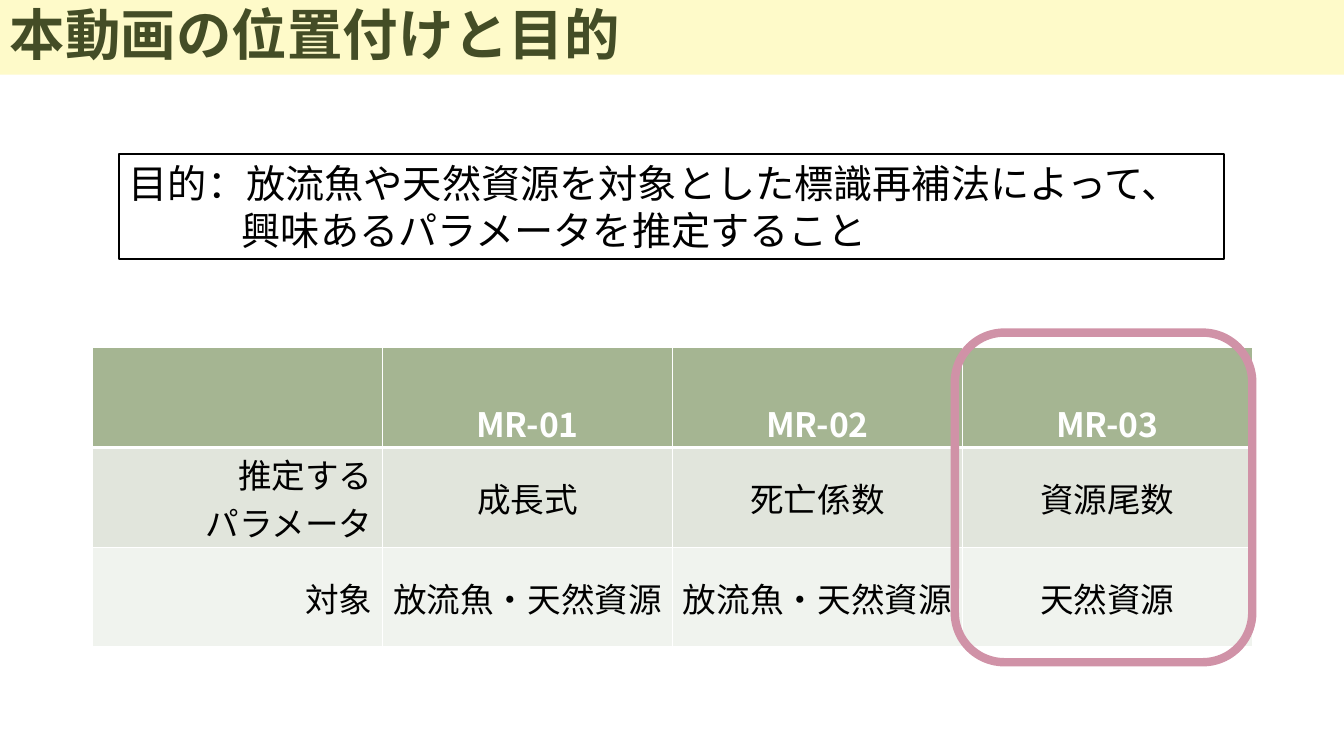
from lxml import etree
from pptx import Presentation
from pptx.dml.color import RGBColor
from pptx.enum.shapes import MSO_SHAPE
from pptx.enum.text import MSO_ANCHOR, PP_ALIGN
from pptx.oxml.ns import qn
from pptx.util import Pt

PX = 9144
FONT = "Noto Sans CJK JP"
RECT, ROUND_RECT = MSO_SHAPE.RECTANGLE, MSO_SHAPE.ROUNDED_RECTANGLE
MIDDLE, BOTTOM, TOP = MSO_ANCHOR.MIDDLE, MSO_ANCHOR.BOTTOM, MSO_ANCHOR.TOP
LEFT, CENTER, RIGHT = PP_ALIGN.LEFT, PP_ALIGN.CENTER, PP_ALIGN.RIGHT

COLORS = {
    "title_band": "FEFAC9",
    "title": "444D26",
    "text": "000000",
    "white": "FFFFFF",
    "header": "A5B592",
    "parameter_row": "E1E5DC",
    "target_row": "F0F3EE",
    "highlight": "D092A7",
}

ROWS = [
    ("header", ["", "MR-01", "MR-02", "MR-03"]),
    ("parameter_row", ["推定する\nパラメータ", "成長式", "死亡係数", "資源尾数"]),
    ("target_row", ["対象", "放流魚・天然資源", "放流魚・天然資源", "天然資源"]),
]


def rgb(name):
    return RGBColor.from_string(COLORS[name])


def add_run(paragraph, text, size, color, bold=False):
    run = paragraph.add_run()
    run.text = text
    font = run.font
    font.size, font.bold, font.name = Pt(size), bold, FONT
    font.color.rgb = rgb(color)
    etree.SubElement(run._r.get_or_add_rPr(), qn("a:ea"), typeface=FONT)


def add_panel(slide, box, preset, fill=None, line=None, line_width=1):
    panel = slide.shapes.add_shape(preset, *[length * PX for length in box])
    panel.shadow.inherit = False
    if fill:
        panel.fill.solid()
        panel.fill.fore_color.rgb = rgb(fill)
    else:
        panel.fill.background()
    if line:
        panel.line.color.rgb = rgb(line)
        panel.line.width = Pt(line_width)
    else:
        panel.line.fill.background()
    panel.text_frame.word_wrap = True
    return panel


def add_title(slide, box):
    frame = add_panel(slide, box, RECT, "title_band").text_frame
    frame.vertical_anchor = MIDDLE
    heading = frame.paragraphs[0]
    heading.alignment = LEFT
    heading.line_spacing = 0.9
    add_run(heading, "本動画の位置付けと目的", 39.6, "title", True)


def add_purpose(slide, box):
    frame = add_panel(slide, box, RECT, "white", "text").text_frame
    frame.vertical_anchor = TOP
    purpose = frame.paragraphs[0]
    purpose.alignment = LEFT
    indent = 112 * PX
    properties = purpose._p.get_or_add_pPr()
    properties.set("marL", str(indent))
    properties.set("indent", str(-indent))
    add_run(purpose, "目的：放流魚や天然資源を対象とした標識再補法によって、"
                     "興味あるパラメータを推定すること", 28, "text")


def set_borders(cell, widths):
    properties = cell._tc.get_or_add_tcPr()
    for position, (side, width) in enumerate(widths.items()):
        border = etree.Element(qn(f"a:{side}"), w=str(Pt(width)))
        fill = etree.SubElement(border, qn("a:solidFill"))
        etree.SubElement(fill, qn("a:srgbClr"), val=COLORS["white"])
        properties.insert(position, border)


def fill_cell(cell, text, row_kind, is_label, below_header):
    is_header = row_kind == "header"
    cell.fill.solid()
    cell.fill.fore_color.rgb = rgb(row_kind)
    cell.margin_top, cell.margin_bottom = PX, 0
    cell.vertical_anchor = BOTTOM if is_header else MIDDLE
    set_borders(cell, {"lnL": 1, "lnR": 1, "lnT": 3 if below_header else 1,
                       "lnB": 3 if is_header else 1})
    frame = cell.text_frame
    for index, line in enumerate(text.split("\n")):
        paragraph = frame.add_paragraph() if index else frame.paragraphs[0]
        paragraph.alignment = RIGHT if is_label else CENTER
        if line:
            add_run(paragraph, line, 24, "white" if is_header else "text", is_header)


def add_parameter_table(slide, box):
    left, top, width, height = [length * PX for length in box]
    column_count = len(ROWS[0][1])
    table = slide.shapes.add_table(len(ROWS), column_count, left, top, width, height).table
    for column in table.columns:
        column.width = width // column_count
    for row_index, (row_kind, texts) in enumerate(ROWS):
        table.rows[row_index].height = height // len(ROWS)
        for column_index, text in enumerate(texts):
            fill_cell(table.cell(row_index, column_index), text, row_kind,
                      column_index == 0, row_index == 1)


def add_highlight(slide, box):
    add_panel(slide, box, ROUND_RECT, line="highlight", line_width=6)


def main():
    presentation = Presentation()
    presentation.slide_width, presentation.slide_height = 1333 * PX, 750 * PX
    slide = presentation.slides.add_slide(presentation.slide_layouts[6])
    add_title(slide, (0, 0, 1333, 74))
    add_purpose(slide, (118, 153, 1096, 104))
    add_parameter_table(slide, (92, 345, 1150, 297))
    add_highlight(slide, (947, 330, 295, 327))
    presentation.save("out.pptx")


if __name__ == "__main__":
    main()
